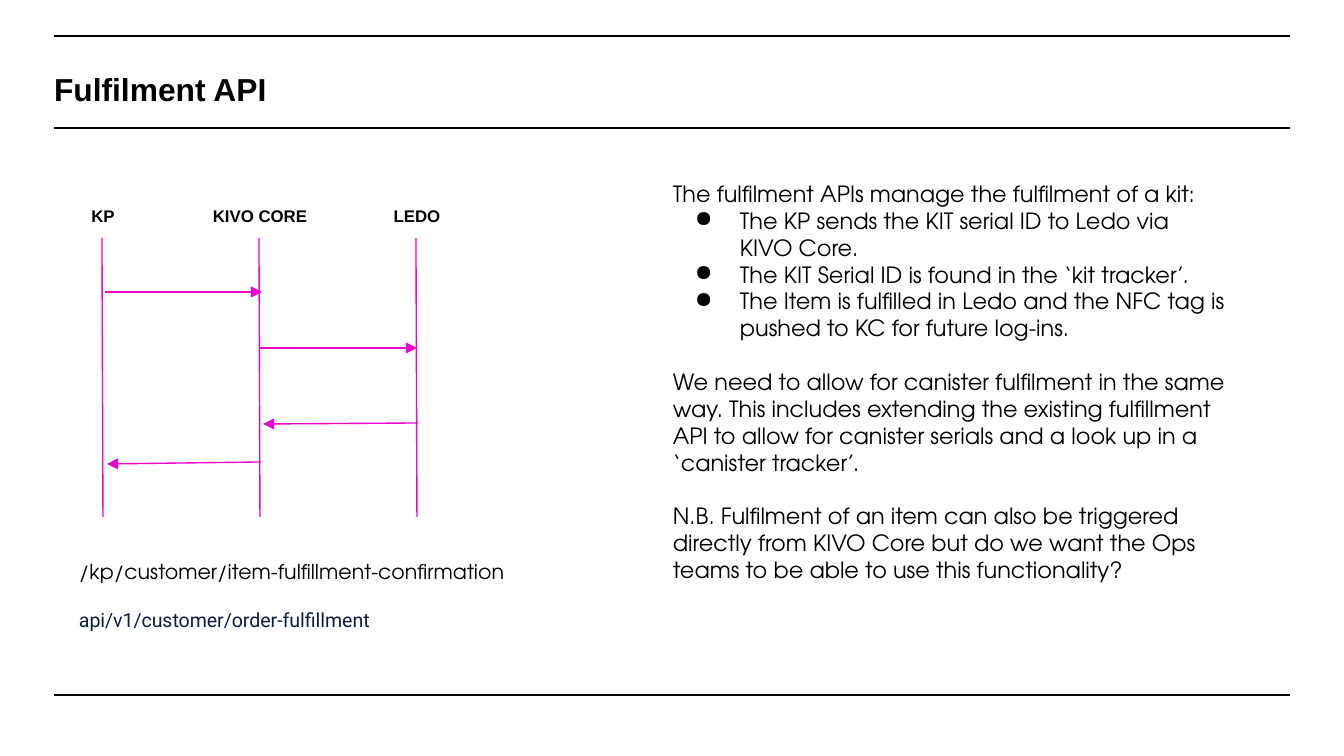
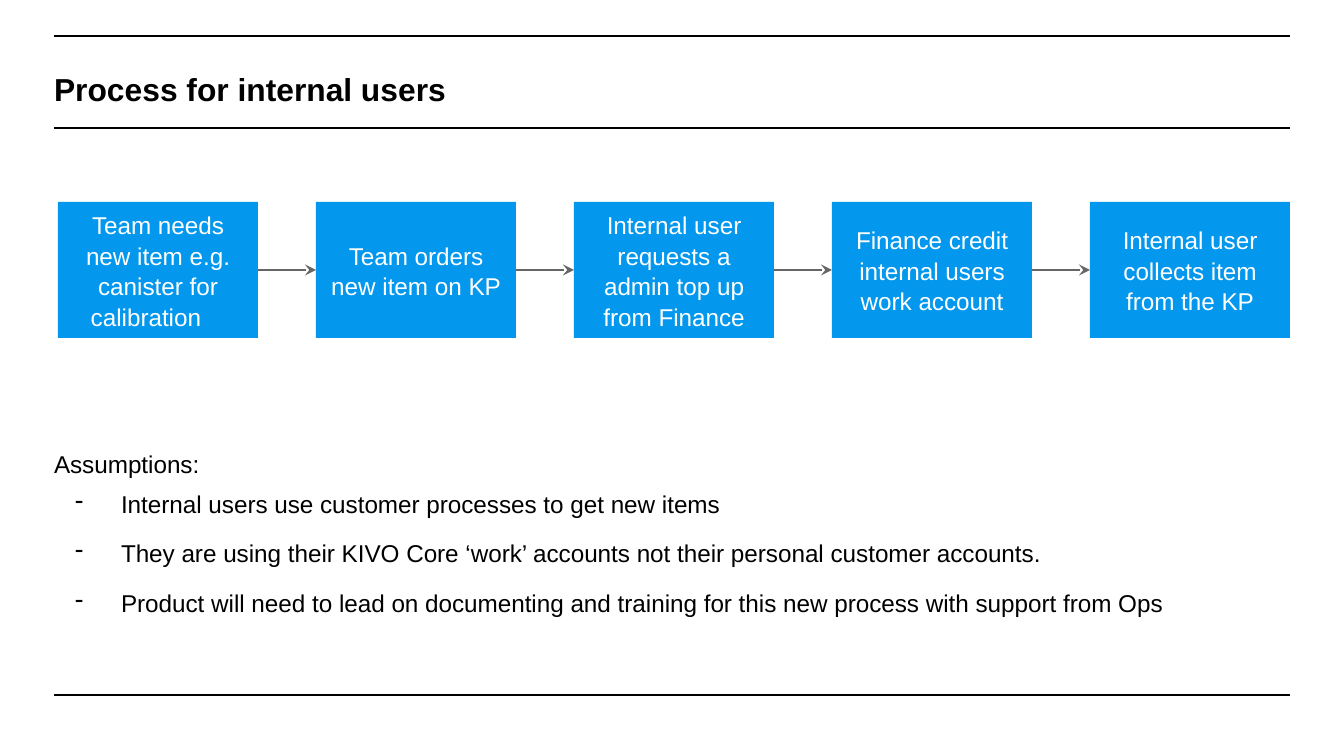
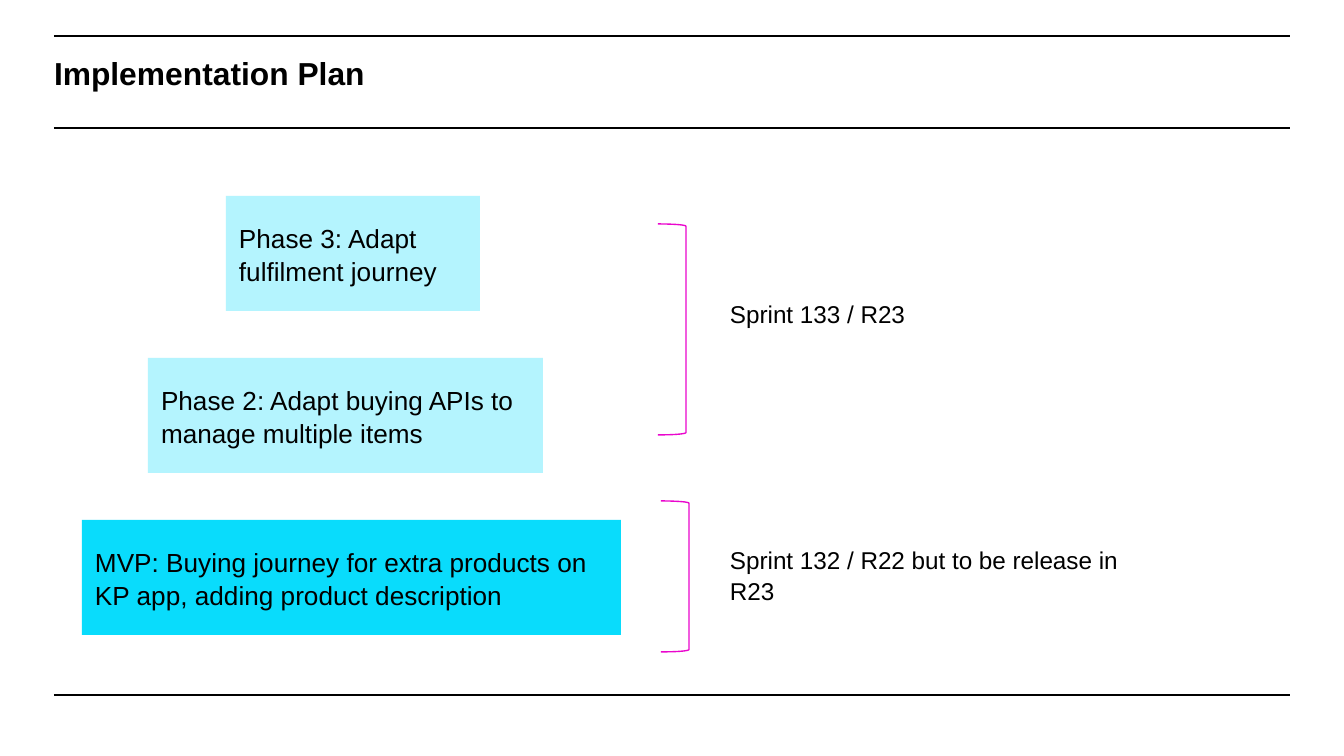
from lxml import etree
from pptx import Presentation
from pptx.dml.color import RGBColor
from pptx.enum.shapes import MSO_CONNECTOR, MSO_SHAPE
from pptx.enum.text import MSO_ANCHOR, MSO_AUTO_SIZE, PP_ALIGN
from pptx.oxml.ns import qn
from pptx.util import Emu, Pt

STRAIGHT = MSO_CONNECTOR.STRAIGHT
RECTANGLE, BRACKET = MSO_SHAPE.RECTANGLE, MSO_SHAPE.RIGHT_BRACKET
TOP, MIDDLE = MSO_ANCHOR.TOP, MSO_ANCHOR.MIDDLE
LEFT, CENTER = PP_ALIGN.LEFT, PP_ALIGN.CENTER

COLORS = {
    "black": "000000", "white": "FFFFFF", "magenta": "EA06CD", "gray": "666666",
    "blue": "0398ED", "cyan": "09DCFC", "navy": "091E42",
}
SANS, ROUNDED, WEB = "Arial", "TeX Gyre Adventor", "Roboto"

EMU_PER_PX = 9144000 / 1344
SLIDE_WIDTH, SLIDE_HEIGHT = 1344, 756
MARGIN_LEFT, MARGIN_RIGHT = 54, 1290
RULES_Y = (36, 128, 695)
INSET = 13


def px(length):
    return Emu(round(length * EMU_PER_PX))


def color(name):
    return RGBColor.from_string(COLORS[name])


# Text
def add_bullet(paragraph, character, indent):
    properties = paragraph._p.get_or_add_pPr()
    properties.set("marL", str(px(67)))
    properties.set("indent", str(-px(indent)))
    etree.SubElement(properties, qn("a:buChar")).set("char", character)


def write_paragraph(paragraph, text, size=13, font=SANS, ink="black", bold=False,
                    align=LEFT, before=0, spacing=1.05, bullet=None, indent=45):
    if bullet:
        add_bullet(paragraph, bullet, indent)
    paragraph.alignment = align
    paragraph.line_spacing = spacing
    paragraph.space_before = Pt(before)
    run = paragraph.add_run()
    run.text = text
    run.font.size = Pt(size)
    run.font.name = font
    run.font.bold = bold
    run.font.color.rgb = color(ink)


def write_text(shape, paragraphs, anchor=TOP, inset=INSET, **text_format):
    """Each paragraph is a text, or a text with its own format."""
    frame = shape.text_frame
    frame.word_wrap = True
    frame.auto_size = MSO_AUTO_SIZE.NONE
    frame.vertical_anchor = anchor
    frame.margin_left = frame.margin_right = px(inset)
    frame.margin_top = frame.margin_bottom = px(inset)
    for index, item in enumerate(paragraphs):
        text, own_format = (item, {}) if isinstance(item, str) else item
        paragraph = frame.add_paragraph() if index else frame.paragraphs[0]
        write_paragraph(paragraph, text, **{**text_format, **own_format})


def add_text(slide, box, paragraphs, **text_format):
    shape = slide.shapes.add_textbox(*map(px, box))
    write_text(shape, paragraphs, **text_format)


# Shapes and lines
def add_line(slide, start, end, ink, arrowhead=None):
    connector = slide.shapes.add_connector(STRAIGHT, *map(px, (*start, *end)))
    connector.line.color.rgb = color(ink)
    connector.line.width = Pt(0.75)
    if arrowhead:
        line = connector.line._get_or_add_ln()
        etree.SubElement(line, qn("a:tailEnd")).set("type", arrowhead)
    etree.SubElement(connector._element.spPr, qn("a:effectLst"))
    return connector


def add_box(slide, box, text, fill, opacity=100, **text_format):
    shape = slide.shapes.add_shape(RECTANGLE, *map(px, box))
    shape.shadow.inherit = False
    shape.fill.solid()
    shape.fill.fore_color.rgb = color(fill)
    shape.line.fill.background()
    if opacity < 100:
        fill_color = shape._element.spPr.find(f".//{qn('a:srgbClr')}")
        etree.SubElement(fill_color, qn("a:alpha")).set("val", str(opacity * 1000))
    write_text(shape, [text], anchor=MIDDLE, **text_format)
    return shape


def add_bracket(slide, box):
    bracket = slide.shapes.add_shape(BRACKET, *map(px, box))
    bracket.shadow.inherit = False
    bracket.adjustments[0] = 0.08
    bracket.fill.background()
    bracket.line.color.rgb = color("magenta")
    bracket.line.width = Pt(0.75)


# Shared slide frame
def add_slide(presentation, title, anchor=MIDDLE):
    slide = presentation.slides.add_slide(presentation.slide_layouts[5])
    placeholder = slide.shapes.title
    placeholder.left, placeholder.top = px(MARGIN_LEFT), px(52)
    placeholder.width, placeholder.height = px(MARGIN_RIGHT - MARGIN_LEFT), px(71)
    write_text(placeholder, [title], anchor=anchor, inset=0, size=17, bold=True)
    return slide


def move_rules_to_layout(slide):
    """Draw the three rules once, on the layout that every slide uses."""
    for y in RULES_Y:
        rule = add_line(slide, (MARGIN_LEFT, y), (MARGIN_RIGHT, y), "black")
        slide.slide_layout.shapes.element.append(rule.element)


# Slides
def build_fulfilment(presentation):
    slide = add_slide(presentation, "Fulfilment API")
    move_rules_to_layout(slide)

    # Sequence diagram
    for index, system in enumerate(("KP", "KIVO CORE", "LEDO")):
        x = 102 + 157 * index
        add_line(slide, (x, 238), (x + 1, 517), "magenta")
        add_text(slide, (x - 66, 192, 134, 31), [system], size=9, bold=True, align=CENTER)
    messages = [((105, 292), (262, 292)), ((259, 348), (417, 348)),
                ((418, 423), (263, 424)), ((261, 462), (107, 464))]
    for start, end in messages:
        add_line(slide, start, end, "magenta", "triangle")

    add_text(slide, (66, 546, 559, 117), [
        ("/kp/customer/item-fulfillment-confirmation", {"size": 11, "font": ROUNDED}),
        ("api/v1/customer/order-fulfillment",
         {"size": 10.5, "font": WEB, "ink": "navy", "before": 13}),
    ], spacing=1)

    # Explanation
    bullet, gap = {"bullet": "●"}, {"before": 14.4}
    add_text(slide, (660, 167, 579, 466), [
        "The fulfilment APIs manage the fulfilment of a kit:",
        ("The KP sends the KIT serial ID to Ledo via KIVO Core.", bullet),
        ("The KIT Serial ID is found in the ‘kit tracker’.", bullet),
        ("The Item is fulfilled in Ledo and the NFC tag is pushed to KC for future "
         "log-ins.", bullet),
        ("We need to allow for canister fulfilment in the same way. This includes "
         "extending the existing fulfillment API to allow for canister serials and a "
         "look up in a ‘canister tracker’.", gap),
        ("N.B. Fulfilment of an item can also be triggered directly from KIVO Core but "
         "do we want the Ops teams to be able to use this functionality?", gap),
    ], size=12, font=ROUNDED, spacing=1)


def build_process(presentation):
    slide = add_slide(presentation, "Process for internal users")

    # Assumptions
    dash = {"bullet": "-", "indent": 46, "before": 10}
    add_text(slide, (MARGIN_LEFT, 448, 1236, 190), [
        "Assumptions:",
        ("Internal users use customer processes to get new items", {**dash, "before": 5}),
        ("They are using their KIVO Core ‘work’ accounts not their personal customer "
         "accounts.", dash),
        ("Product will need to lead on documenting and training for this new process "
         "with support from Ops", dash),
    ], inset=0)

    # Chain of steps
    steps = [
        "Team needs new item e.g. canister for calibration\t",
        "Team orders new item on KP",
        "Internal user requests a admin top up from Finance",
        "Finance credit internal users work account",
        "Internal user collects item from the KP",
    ]
    boxes = [add_box(slide, (58 + 258 * index, 202, 200, 136), step, "blue",
                     ink="white", align=CENTER)
             for index, step in enumerate(steps)]
    for before, after in zip(boxes, boxes[1:]):
        arrow = add_line(slide, (0, 0), (0, 0), "gray", "stealth")
        arrow.begin_connect(before, 3)
        arrow.end_connect(after, 1)


def build_plan(presentation):
    slide = add_slide(presentation, "Implementation Plan", anchor=TOP)

    # Pyramid of phases
    phases = [
        (226, 254, "Phase 3: Adapt fulfilment journey", 30),
        (148, 395, "Phase 2: Adapt buying APIs to manage multiple items", 30),
        (82, 539, "MVP: Buying journey for extra products on KP app, adding product "
                  "description", 100),
    ]
    for index, (left, width, text, opacity) in enumerate(phases):
        add_box(slide, (left, 196 + 162 * index, width, 115), text, "cyan", opacity, size=14)

    # Sprints
    add_bracket(slide, (658, 224, 28, 211))
    add_bracket(slide, (661, 501, 28, 151))
    add_text(slide, (730, 298, 395, 30), ["Sprint 133 / R23"], inset=0)
    add_text(slide, (730, 544, 395, 60), ["Sprint 132 / R22 but to be release in R23"], inset=0)


def main():
    presentation = Presentation()
    presentation.slide_width, presentation.slide_height = px(SLIDE_WIDTH), px(SLIDE_HEIGHT)
    build_fulfilment(presentation)
    build_process(presentation)
    build_plan(presentation)
    presentation.save("out.pptx")


if __name__ == "__main__":
    main()
